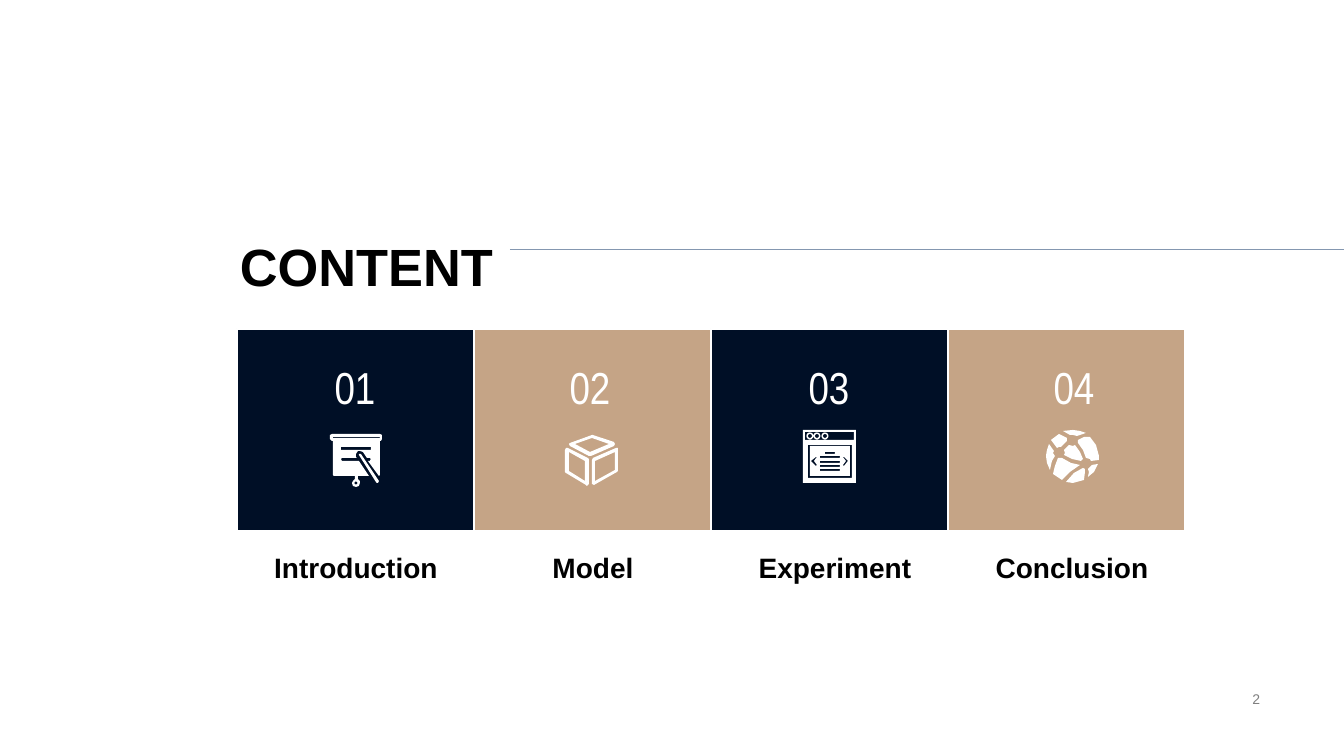
"""Build the content slide: a title with a rule and four numbered section tiles."""
from math import cos, pi, sin

from pptx import Presentation
from pptx.dml.color import RGBColor
from pptx.enum.shapes import MSO_CONNECTOR as Connector, MSO_SHAPE as Shape
from pptx.enum.text import MSO_ANCHOR as Anchor, PP_ALIGN as Align
from pptx.oxml.ns import qn
from pptx.util import Emu, Pt

PX = 914400 / 100.8
COLORS = {"navy": "000F26", "tan": "C5A486", "white": "FFFFFF",
          "black": "000000", "gray": "808080", "rule": "8497B0"}


def add_text(text, left, top, width, height, size, color="black", font="Arial",
             bold=False, align=Align.CENTER, anchor=Anchor.TOP):
    box = slide.shapes.add_textbox(*[Emu(round(v * PX)) for v in (left, top, width, height)])
    box.text_frame.word_wrap = True
    box.text_frame.vertical_anchor = anchor
    para = box.text_frame.paragraphs[0]
    para.alignment = align
    span = para.add_run()
    span.text = text
    span.font.size = Pt(size)
    span.font.name = font
    span.font.bold = bold
    span.font.color.rgb = RGBColor.from_string(COLORS[color])


def add_icon(left, top, polygons, rectangles=(), circles=()):
    outlines = list(polygons)
    outlines += [[(x1, y1), (x2, y1), (x2, y2), (x1, y2)] for x1, y1, x2, y2 in rectangles]
    outlines += [[(x + diameter / 2 * cos(step * pi / 8), y + diameter / 2 * sin(step * pi / 8))
                  for step in range(16)] for x, y, diameter in circles]
    builder = None
    for outline in outlines:
        points = [((left + x) * PX, (top + y) * PX) for x, y in outline]
        if builder is None:
            builder = slide.shapes.build_freeform(*points[0])
        else:
            builder.move_to(*points[0])
        builder.add_line_segments(points[1:], close=True)
    icon = builder.convert_to_shape()
    icon.shadow.inherit = False
    icon.fill.solid()
    icon.fill.fore_color.rgb = RGBColor.from_string(COLORS["white"])
    icon.line.fill.background()


BOARD = {
    "polygons": [
        [(46, 48), (29, 21), (29, 20), (31, 20), (49, 47), (48, 49), (47, 49)],
        [(52, 1), (52, 5), (51, 7), (50, 7), (50, 41), (49, 42), (38, 27), (40, 27),
         (41, 25), (40, 24), (37, 24), (33, 18), (30, 17), (28, 17), (26, 20), (26, 23),
         (27, 24), (12, 24), (11, 25), (12, 27), (29, 27), (39, 42), (28, 42), (28, 45),
         (30, 47), (30, 49), (29, 52), (26, 53), (23, 52), (22, 49), (23, 47), (25, 45),
         (25, 42), (4, 42), (3, 41), (3, 7), (2, 7), (0, 5), (0, 1), (2, 0), (50, 0)],
    ],
    "rectangles": [(11, 13, 41, 16), (3, 3, 50, 4)],
    "circles": [(26, 49, 3)],
}
CUBE = {
    "polygons": [
        [(23, 23), (3, 13), (1, 13), (0, 15), (0, 37), (1, 38), (21, 50), (22, 51),
         (24, 49), (24, 24)],
        [(20, 46), (4, 36), (4, 17), (20, 26)],
        [(53, 13), (51, 13), (28, 23), (27, 25), (27, 49), (29, 50), (52, 37), (53, 36)],
        [(50, 35), (30, 46), (30, 26), (50, 17)],
        [(50, 9), (49, 7), (28, 0), (27, 0), (5, 8), (4, 9), (5, 11), (24, 21), (26, 21),
         (49, 11)],
        [(25, 17), (10, 9), (27, 3), (44, 9)],
    ],
}
WINDOW = {
    "polygons": [
        [(40, 27), (43, 31), (40, 35), (41, 36), (45, 31), (41, 27)],
        [(13, 27), (8, 31), (13, 36), (14, 35), (11, 31), (14, 27)],
    ],
    "rectangles": [(0, 0, 53, 53), (2, 2, 51, 10), (5, 15, 49, 48), (7, 16, 47, 46),
                   (22, 22, 32, 24)] + [(17, y, 37, y + 2) for y in (26, 31, 35, 39)],
    "circles": [(x, 6, diameter) for x in (7, 14, 22) for diameter in (7, 4)],
}
GLOBE = {
    "polygons": [
        [(37, 38), (28, 43), (20, 52), (27, 53), (38, 50), (39, 42), (39, 39)],
        [(44, 7), (38, 7), (32, 10), (32, 13), (37, 20), (40, 28), (44, 29), (45, 31),
         (53, 30), (53, 26), (50, 15)],
        [(34, 35), (25, 33), (16, 28), (12, 28), (9, 36), (7, 44), (16, 50), (24, 42)],
        [(42, 39), (43, 42), (42, 47), (48, 42), (52, 34), (46, 35)],
        [(35, 31), (37, 29), (34, 22), (29, 15), (27, 16), (23, 15), (18, 20), (19, 23),
         (18, 25), (26, 29)],
        [(27, 5), (31, 6), (40, 3), (34, 1), (27, 0), (17, 1), (24, 5)],
        [(7, 23), (8, 21), (3, 14), (1, 20), (0, 26), (1, 33), (4, 40), (6, 31), (9, 26)],
        [(13, 17), (15, 17), (21, 11), (21, 8), (17, 6), (13, 4), (5, 10), (11, 18)],
    ],
}
SECTIONS = [
    ("Introduction", "navy", 355, 356, BOARD, 330, 434),
    ("Model", "tan", 590, 593, CUBE, 565, 435),
    ("Experiment", "navy", 829, 835, WINDOW, 803, 430),
    ("Conclusion", "tan", 1074, 1072, GLOBE, 1046, 430),
]

deck = Presentation()
deck.slide_width = Emu(round(1344 * PX))
deck.slide_height = Emu(round(756 * PX))
slide = deck.slides.add_slide(deck.slide_layouts[6])

add_text("2", 950, 687, 320, 23, 10, "gray", align=Align.RIGHT, anchor=Anchor.MIDDLE)

for index, (label, color, number_center, label_center, icon, left, top) in enumerate(SECTIONS):
    tile = slide.shapes.add_shape(
        Shape.RECTANGLE, *[Emu(round(v * PX)) for v in (237 + 237 * index, 329, 237, 202)])
    tile.shadow.inherit = False
    tile.fill.solid()
    tile.fill.fore_color.rgb = RGBColor.from_string(COLORS[color])
    tile.line.color.rgb = RGBColor.from_string(COLORS["white"])
    tile.line.width = Pt(1.5)
    add_icon(left, top, **icon)
    add_text(f"{index + 1:02}", number_center - 34, 355, 68, 64, 32, "white", "Arial Narrow")
    add_text(label, label_center - 95, 546, 190, 44, 20, bold=True)

add_text("CONTENT", 230, 229, 280, 60, 37.4, bold=True, align=Align.LEFT)

rule = slide.shapes.add_connector(
    Connector.STRAIGHT, *[Emu(round(v * PX)) for v in (510, 249, 1344, 249)])
rule.line.color.rgb = RGBColor.from_string(COLORS["rule"])
rule.line.width = Pt(0.5)
properties = rule.element.find(qn("p:spPr"))
properties.append(properties.makeelement(qn("a:effectLst"), {}))

deck.save("out.pptx")
